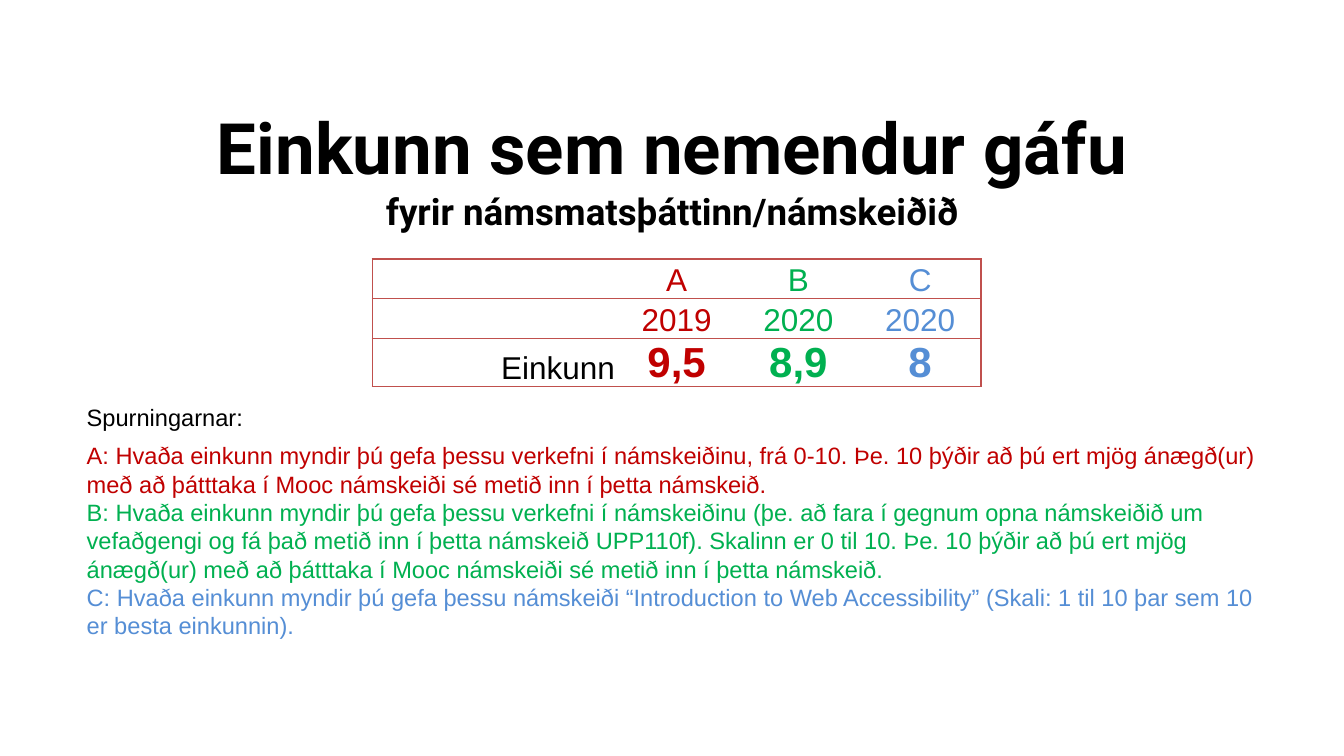
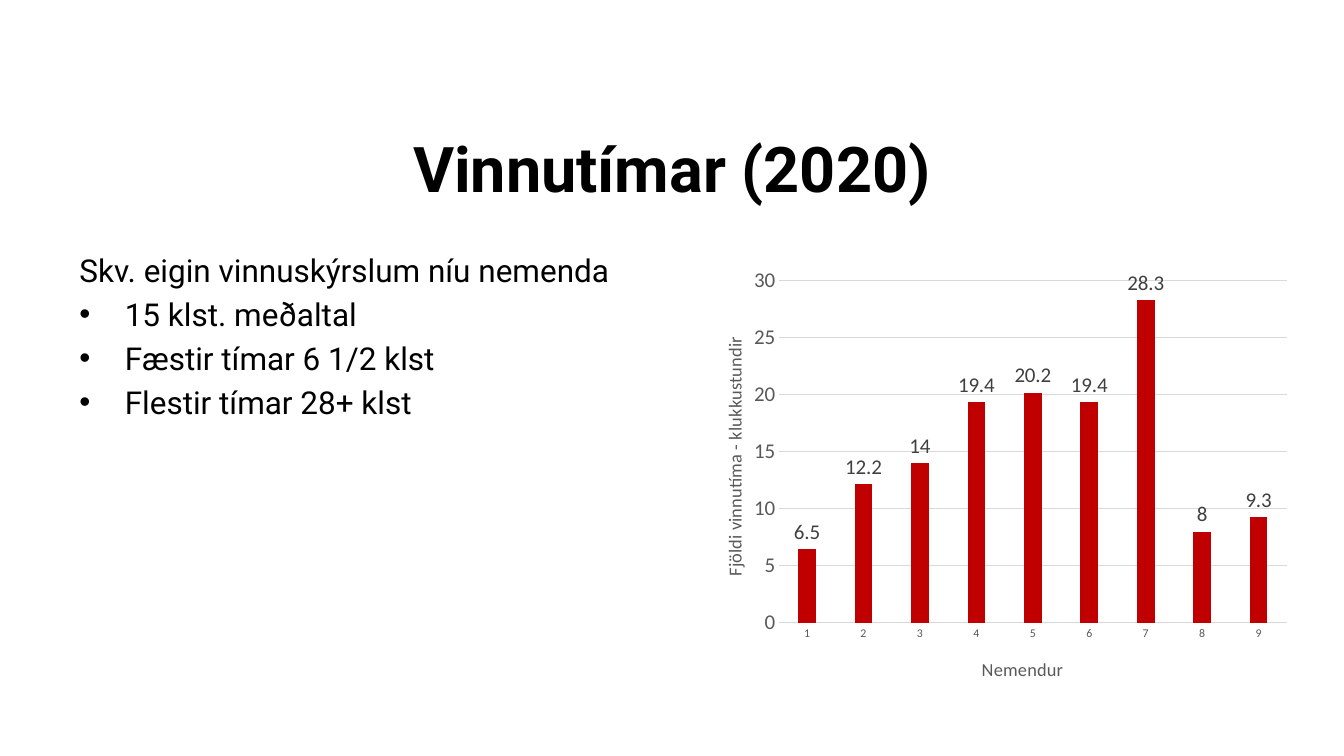
from typing import NamedTuple

from lxml import etree
from pptx import Presentation
from pptx import util as u
from pptx.chart import data as cd
from pptx.dml.color import RGBColor
from pptx.enum import chart as ce, text as te
from pptx.oxml import ns

WIDTH, HEIGHT = 14.23, 8
BLACK, WHITE, RED, GREEN, BLUE = "000000", "FFFFFF", "C00000", "00B050", "558ED5"
BORDER, GREY, LABEL, GRID = "C0504D", "595959", "404040", "D9D9D9"
HEAD, BODY, CHART = "Roboto", "Arial", "Calibri"


class Box(NamedTuple):
    """Left, top, width and height in percent of the slide."""
    x: float
    y: float
    w: float
    h: float


class Style(NamedTuple):
    size: float
    color: str = BLACK
    bold: bool = False
    font: str = BODY


class Text(NamedTuple):
    words: str
    style: Style


class Grade(NamedTuple):
    letter: str
    year: str
    mark: str
    color: str
    question: str


TITLE = Box(5, 13.9, 90, 16.6)
GRADES = Box(27.7, 34.25, 45.3, 16.75)
HEADING = Box(5.76, 52.63, 14.4, 5)
QUESTIONS = Box(5.76, 57.75, 89.25, 27.75)
LIST = Box(5, 32.4, 45, 28.4)
HOURS = Box(51.65, 34.25, 45, 58)

ANSWERS = [
    Grade("A", "2019", "9,5", RED,
          "Hvaða einkunn myndir þú gefa þessu verkefni í námskeiðinu, frá 0-10. "
          "Þe. 10 þýðir að þú ert mjög ánægð(ur) með að þátttaka í Mooc námskeiði "
          "sé metið inn í þetta námskeið."),
    Grade("B", "2020", "8,9", GREEN,
          "Hvaða einkunn myndir þú gefa þessu verkefni í námskeiðinu (þe. að fara "
          "í gegnum opna námskeiðið um vefaðgengi og fá það metið inn í þetta "
          "námskeið UPP110f). Skalinn er 0 til 10. Þe. 10 þýðir að þú ert mjög "
          "ánægð(ur) með að þátttaka í Mooc námskeiði sé metið inn í þetta námskeið."),
    Grade("C", "2020", "8", BLUE,
          "Hvaða einkunn myndir þú gefa þessu námskeiði “Introduction to Web "
          "Accessibility” (Skali: 1 til 10 þar sem 10 er besta einkunnin)."),
]
POINTS = ["15 klst. meðaltal", "Fæstir tímar 6 1/2 klst", "Flestir tímar 28+ klst"]
WORK_HOURS = [6.5, 12.2, 14, 19.4, 20.2, 19.4, 28.3, 8, 9.3]


def rgb(color: str) -> RGBColor:
    return RGBColor.from_string(color)


def across(share: float) -> int:
    return u.Inches(WIDTH * share / 100)


def down(share: float) -> int:
    return u.Inches(HEIGHT * share / 100)


def emu(box: Box) -> tuple:
    return across(box.x), down(box.y), across(box.w), down(box.h)


def place(sp, box: Box) -> None:
    sp.left, sp.top, sp.width, sp.height = emu(box)


def set_font(font, style: Style) -> None:
    font.size, font.bold, font.name = u.Pt(style.size), style.bold, style.font
    font.color.rgb = rgb(style.color)


def add_run(p, words: str, style: Style) -> None:
    r = p.add_run()
    r.text = words
    set_font(r.font, style)


def add_paragraphs(tf, lines: list[Text]) -> list:
    tf.word_wrap = True
    for i, line in enumerate(lines):
        p = tf.add_paragraph() if i else tf.paragraphs[0]
        add_run(p, line.words, line.style)
    return list(tf.paragraphs)


def fit_placeholder(sp, box: Box, anchor):
    place(sp, box)
    tf = sp.text_frame
    tf.auto_size, tf.vertical_anchor = te.MSO_AUTO_SIZE.NONE, anchor
    tf.margin_left = tf.margin_right = u.Inches(0.13)
    tf.margin_top = tf.margin_bottom = u.Inches(0.06)
    return tf


def add_title(s, lines: list[tuple[str, float]]) -> None:
    tf = fit_placeholder(s.shapes.title, TITLE, te.MSO_ANCHOR.MIDDLE)
    p = tf.paragraphs[0]
    p.alignment = te.PP_ALIGN.CENTER
    for i, (words, size) in enumerate(lines):
        if i:
            p.add_line_break()
        add_run(p, words, Style(size, bold=True, font=HEAD))


def add_text(s, box: Box, lines: list[Text]) -> None:
    add_paragraphs(s.shapes.add_textbox(*emu(box)).text_frame, lines)


def set_borders(cell, visible: str) -> None:
    tc_pr = cell._tc.get_or_add_tcPr()
    for side in "LRTB":
        ln = etree.SubElement(tc_pr, ns.qn(f"a:ln{side}"), w=str(u.Pt(1)))
        if side in visible:
            fill = etree.SubElement(ln, ns.qn("a:solidFill"))
            etree.SubElement(fill, ns.qn("a:srgbClr"), val=BORDER)
        else:
            etree.SubElement(ln, ns.qn("a:noFill"))


def add_grades(s) -> None:
    rows = [
        [None] + [Text(a.letter, Style(24, a.color)) for a in ANSWERS],
        [None] + [Text(a.year, Style(24, a.color)) for a in ANSWERS],
        [Text("Einkunn", Style(24))]
        + [Text(a.mark, Style(32, a.color, True)) for a in ANSWERS],
    ]
    last = len(ANSWERS)
    table = s.shapes.add_table(len(rows), last + 1, *emu(GRADES)).table
    table.first_row = table.horz_banding = False
    for col, parts in zip(table.columns, (2, 1, 1, 1)):
        col.width = across(GRADES.w * parts / 5)
    for row, height in zip(table.rows, (5.25, 5.25, 6.25)):
        row.height = down(height)
    for i, row in enumerate(rows):
        for j, item in enumerate(row):
            cell = table.cell(i, j)
            set_borders(cell, "TB" + ("L" if j == 0 else "R" if j == last else ""))
            cell.fill.solid()
            cell.fill.fore_color.rgb = rgb(WHITE)
            cell.vertical_anchor = te.MSO_ANCHOR.BOTTOM
            cell.margin_left = cell.margin_right = cell.margin_top = u.Inches(0.01)
            cell.margin_bottom = 0
            if item:
                p = cell.text_frame.paragraphs[0]
                p.alignment = te.PP_ALIGN.CENTER if j else te.PP_ALIGN.RIGHT
                add_run(p, item.words, item.style)


def add_list(s, intro: str, points: list[str]) -> None:
    tf = fit_placeholder(s.placeholders[1], LIST, te.MSO_ANCHOR.TOP)
    style = Style(24, font=HEAD)
    first, *rest = add_paragraphs(tf, [Text(t, style) for t in [intro, *points]])
    p_pr = first._p.get_or_add_pPr()
    p_pr.set("marL", "0")
    p_pr.set("indent", "0")
    etree.SubElement(p_pr, ns.qn("a:buNone"))
    for p in rest:
        p_pr = p._p.get_or_add_pPr()
        p_pr.set("marL", str(u.Inches(0.48)))
        p_pr.set("indent", str(-u.Inches(0.48)))
        etree.SubElement(p_pr, ns.qn("a:buChar"), char="•")


def set_layout(parent, **shares: float) -> None:
    layout = parent.find(ns.qn("c:layout"))
    if layout is None:
        layout = etree.Element(ns.qn("c:layout"))
        parent.insert(0, layout)
    manual = etree.SubElement(layout, ns.qn("c:manualLayout"))
    if "w" in shares:
        etree.SubElement(manual, ns.qn("c:layoutTarget"), val="inner")
    for mode in ("xMode", "yMode"):
        etree.SubElement(manual, ns.qn(f"c:{mode}"), val="edge")
    for name, share in shares.items():
        etree.SubElement(manual, ns.qn(f"c:{name}"), val=str(share))


def format_axis(axis, title: str, size: float, x: float, y: float) -> None:
    axis.major_tick_mark = axis.minor_tick_mark = ce.XL_TICK_MARK.NONE
    set_font(axis.tick_labels.font, Style(size, GREY, font=CHART))
    p = axis.axis_title.text_frame.paragraphs[0]
    add_run(p, title, Style(14, GREY, font=CHART))
    set_layout(axis.axis_title._element, x=x, y=y)


def set_line(line) -> None:
    line.color.rgb = rgb(GRID)
    line.width = u.Pt(0.75)


def add_hours(s) -> None:
    data = cd.CategoryChartData()
    data.categories = [str(i + 1) for i in range(len(WORK_HOURS))]
    data.add_series("Series 1", WORK_HOURS)
    chart = s.shapes.add_chart(
        ce.XL_CHART_TYPE.COLUMN_CLUSTERED, *emu(HOURS), data).chart
    chart.has_legend = chart.has_title = False
    set_font(chart.font, Style(10, font=CHART))
    plot = chart.plots[0]
    plot.vary_by_categories = False
    plot.gap_width, plot.overlap = 219, -27
    bars = plot.series[0]
    bars.format.fill.solid()
    bars.format.fill.fore_color.rgb = rgb(RED)
    labels = bars.data_labels
    labels.show_value = True
    labels.position = ce.XL_LABEL_POSITION.OUTSIDE_END
    set_font(labels.font, Style(16, LABEL, font=CHART))
    cats, vals = chart.category_axis, chart.value_axis
    format_axis(cats, "Nemendur", 9, 0.47, 0.9)
    format_axis(vals, "Fjöldi vinnutíma - klukkustundir", 16, 0.04, 0.17)
    set_line(cats.format.line)
    vals.format.line.fill.background()
    vals.has_major_gridlines = True
    set_line(vals.major_gridlines.format.line)
    vals.minimum_scale, vals.maximum_scale, vals.major_unit = 0, 30, 5
    plot_area = chart._chartSpace.xpath(".//c:plotArea")[0]
    set_layout(plot_area, x=0.14, y=0.05, w=0.84, h=0.78)


def main() -> None:
    prs = Presentation()
    prs.slide_width, prs.slide_height = u.Inches(WIDTH), u.Inches(HEIGHT)

    s = prs.slides.add_slide(prs.slide_layouts.get_by_name("Title Only"))
    add_title(s, [("Einkunn sem nemendur gáfu", 54),
                  ("fyrir námsmatsþáttinn/námskeiðið", 28)])
    add_grades(s)
    add_text(s, QUESTIONS, [Text(f"{a.letter}: {a.question}", Style(18, a.color))
                            for a in ANSWERS])
    add_text(s, HEADING, [Text("Spurningarnar:", Style(18))])

    s = prs.slides.add_slide(prs.slide_layouts.get_by_name("Title and Content"))
    add_title(s, [("Vinnutímar (2020)", 48)])
    add_list(s, "Skv. eigin vinnuskýrslum níu nemenda", POINTS)
    add_hours(s)

    prs.save("out.pptx")


if __name__ == "__main__":
    main()
